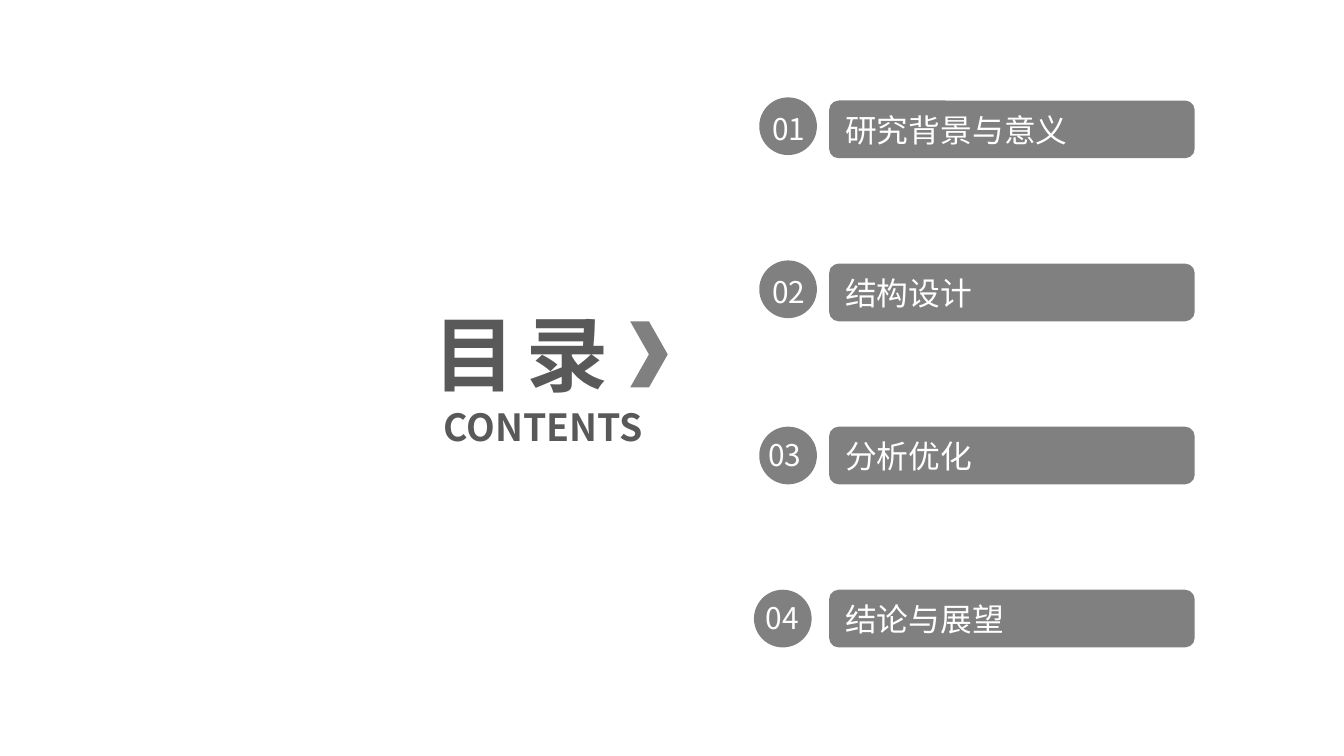
import pptx
import pptx.dml.color
import pptx.enum.shapes
import pptx.enum.text
import pptx.oxml.ns
import pptx.util
from lxml import etree
from pptx.util import Cm

COLORS = {"grey": "808080", "heading": "595959", "white": "FFFFFF"}
FONT = "Noto Sans CJK SC"
SHAPES = pptx.enum.shapes.MSO_SHAPE
ALIGN = pptx.enum.text.PP_ALIGN


def color(name):
    return pptx.dml.color.RGBColor.from_string(COLORS[name])


def write(shape, text, size, ink, align=ALIGN.LEFT, bold=False, spacing=None):
    frame = shape.text_frame
    frame.word_wrap = True
    frame.vertical_anchor = pptx.enum.text.MSO_ANCHOR.MIDDLE
    frame.text = text
    paragraph = frame.paragraphs[0]
    paragraph.alignment = align
    run = paragraph.runs[0]
    run.font.size = pptx.util.Pt(size)
    run.font.name = FONT
    run.font.bold = bold
    run.font.color.rgb = color(ink)
    properties = run.font._element
    etree.SubElement(properties, pptx.oxml.ns.qn("a:ea")).set("typeface", FONT)
    if spacing is not None:
        properties.set("spc", str(spacing))


def add_block(slide, kind, left, top, width, height):
    block = slide.shapes.add_shape(kind, Cm(left), Cm(top), Cm(width), Cm(height))
    block.shadow.inherit = False
    block.fill.solid()
    block.fill.fore_color.rgb = color("grey")
    block.line.fill.background()
    return block


def add_label(slide, left, top, width, height, text, size, ink, **style):
    label = slide.shapes.add_textbox(Cm(left), Cm(top), Cm(width), Cm(height))
    write(label, text, size, ink, **style)


def add_heading(slide, left, top):
    add_label(slide, left, top, 5.97, 2.13, "目 录", 44, "heading", bold=True, spacing=-220)
    add_label(slide, left + 0.18, top + 1.9, 5.87, 1.12, "CONTENTS", 20, "heading", bold=True)
    add_block(slide, SHAPES.CHEVRON, left + 3.96, top + 0.48, 0.71, 1.25)


def add_entry(slide, left, top, width, height, number, title, badge_offset, number_shift):
    bar = add_block(slide, SHAPES.ROUNDED_RECTANGLE, left, top, width, height)
    write(bar, title, 17, "white")
    badge_x, badge_y = badge_offset
    add_block(slide, SHAPES.OVAL, left + badge_x, top + badge_y, height, height)
    add_label(slide, left + number_shift, top + 0.06, 1.32, 0.94,
              f"{number:02d}", 16, "white", align=ALIGN.CENTER)


def add_contents(slide, left, top, width, row_height, pitch):
    entries = [
        ("研究背景与意义", (-1.32, -0.06), -1.42),
        ("结构设计", (-1.32, -0.06), -1.42),
        ("分析优化", (-1.32, 0), -1.5),
        ("结论与展望", (-1.42, 0), -1.55),
    ]
    for index, (title, badge_offset, number_shift) in enumerate(entries):
        add_entry(slide, left, top + index * pitch, width, row_height,
                  index + 1, title, badge_offset, number_shift)


def main():
    deck = pptx.Presentation()
    deck.slide_width = Cm(25.4)
    deck.slide_height = Cm(14.28)
    slide = deck.slides.add_slide(deck.slide_layouts[6])
    add_heading(slide, 7.95, 5.59)
    add_contents(slide, 15.67, 1.9, 6.91, 1.09, 3.08)
    deck.save("out.pptx")


if __name__ == "__main__":
    main()
